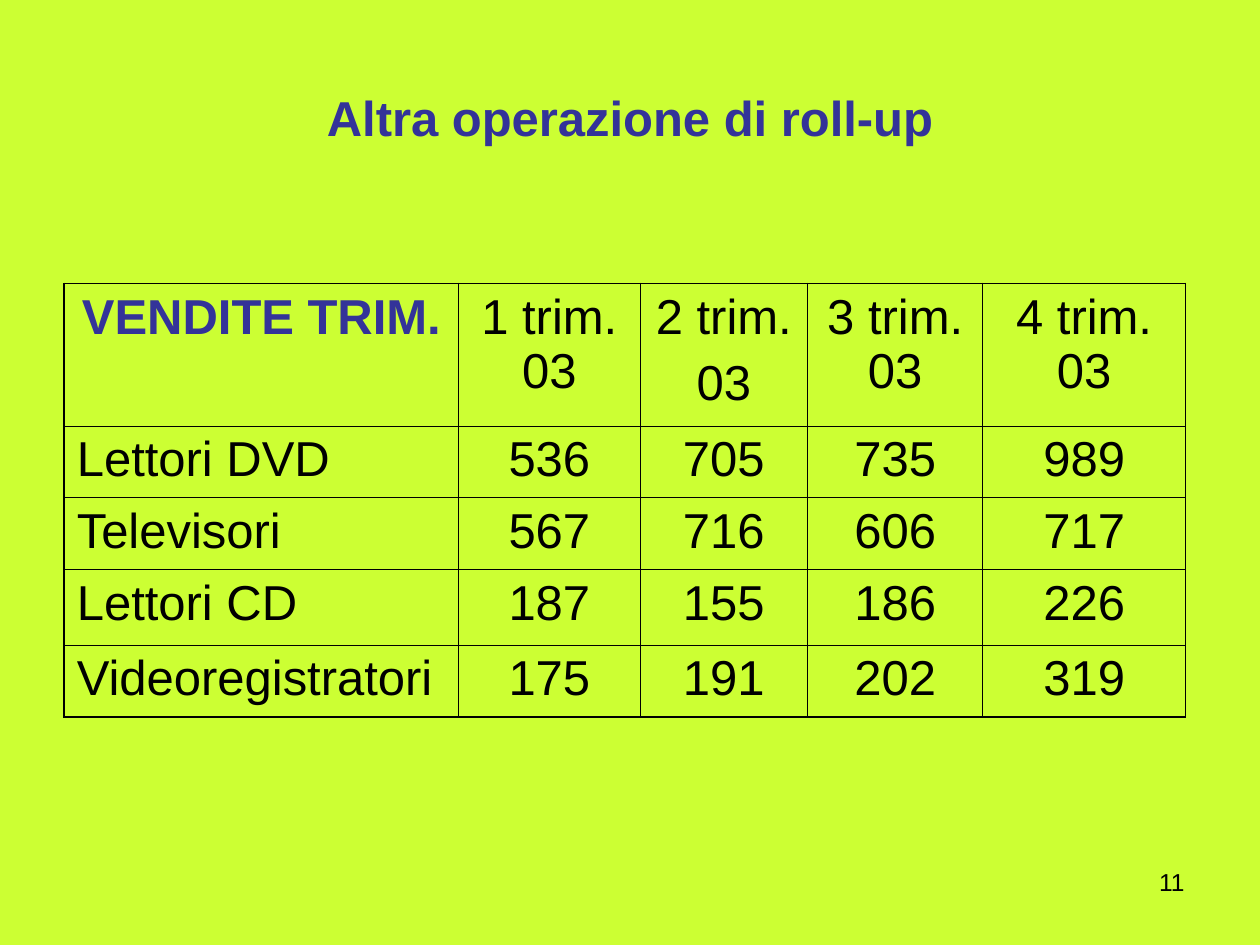
from lxml import etree
from pptx import Presentation
from pptx.dml.color import RGBColor
from pptx.enum import text
from pptx.oxml import ns
from pptx.util import Inches, Pt

BACKGROUND, ACCENT, INK = "CCFF33", "333399", "000000"
FONT = "Arial"
TITLE = "Altra operazione di roll-up"
PAGE = "11"
SALES = [
    ("VENDITE TRIM.", "1 trim. 03", "2 trim.\n03", "3 trim. 03", "4 trim. 03"),
    ("Lettori DVD", "536", "705", "735", "989"),
    ("Televisori", "567", "716", "606", "717"),
    ("Lettori CD", "187", "155", "186", "226"),
    ("Videoregistratori", "175", "191", "202", "319"),
]
COLUMNS = [3.13, 1.44, 1.33, 1.39, 1.61]
ROWS = [1.13, 0.57, 0.57, 0.6, 0.57]
LEFT, TOP = 0.51, 2.25
OUTER, INNER = 1.08, 0.45
ALIGN = text.PP_ALIGN


def rgb(value):
    return RGBColor.from_string(value)


def write(tf, content, align, size=28, color=INK, bold=False):
    tf.word_wrap = True
    for i, line in enumerate(content.split("\n")):
        p = tf.paragraphs[0] if i == 0 else tf.add_paragraph()
        p.alignment = align
        if i:
            p.space_before = Pt(7)
        r = p.add_run()
        r.text = line
        for name, value in {"name": FONT, "size": Pt(size), "bold": bold}.items():
            setattr(r.font, name, value)
        r.font.color.rgb = rgb(color)


def add_text(s, box, content, align, anchor=text.MSO_ANCHOR.TOP, **style):
    tf = s.shapes.add_textbox(*map(Inches, box)).text_frame
    tf.vertical_anchor = anchor
    write(tf, content, align, **style)


def set_borders(cell, widths):
    props = cell._tc.get_or_add_tcPr()
    for side, width in widths.items():
        line = etree.SubElement(props, ns.qn(f"a:ln{side}"), w=str(Pt(width)))
        fill = etree.SubElement(line, ns.qn("a:solidFill"))
        etree.SubElement(fill, ns.qn("a:srgbClr"), val=INK)


def add_sales_table(s):
    last_row, last_col = len(ROWS) - 1, len(COLUMNS) - 1
    size = (sum(COLUMNS), sum(ROWS))
    table = s.shapes.add_table(len(ROWS), len(COLUMNS),
                               *map(Inches, (LEFT, TOP, *size))).table
    table.first_row = table.horz_banding = False
    for column, width in zip(table.columns, COLUMNS):
        column.width = Inches(width)
    for row, height in zip(table.rows, ROWS):
        row.height = Inches(height)
    for i, values in enumerate(SALES):
        for j, value in enumerate(values):
            cell = table.cell(i, j)
            edges = {"L": j == 0, "R": j == last_col, "T": i == 0, "B": i == last_row}
            set_borders(cell, {side: OUTER if edge else INNER
                               for side, edge in edges.items()})
            cell.fill.background()
            corner = i == j == 0
            write(cell.text_frame, value,
                  ALIGN.LEFT if j == 0 and i else ALIGN.CENTER,
                  color=ACCENT if corner else INK, bold=corner)


def main():
    prs = Presentation()
    prs.slide_width, prs.slide_height = Inches(10), Inches(7.5)
    s = prs.slides.add_slide(prs.slide_layouts[6])
    s.background.fill.solid()
    s.background.fill.fore_color.rgb = rgb(BACKGROUND)
    add_text(s, (0.5, 0.3, 9, 1.25), TITLE, ALIGN.CENTER,
             text.MSO_ANCHOR.MIDDLE, color=ACCENT, bold=True)
    add_sales_table(s)
    add_text(s, (7.17, 6.83, 2.33, 0.52), PAGE, ALIGN.RIGHT, size=14)
    prs.save("out.pptx")


if __name__ == "__main__":
    main()
